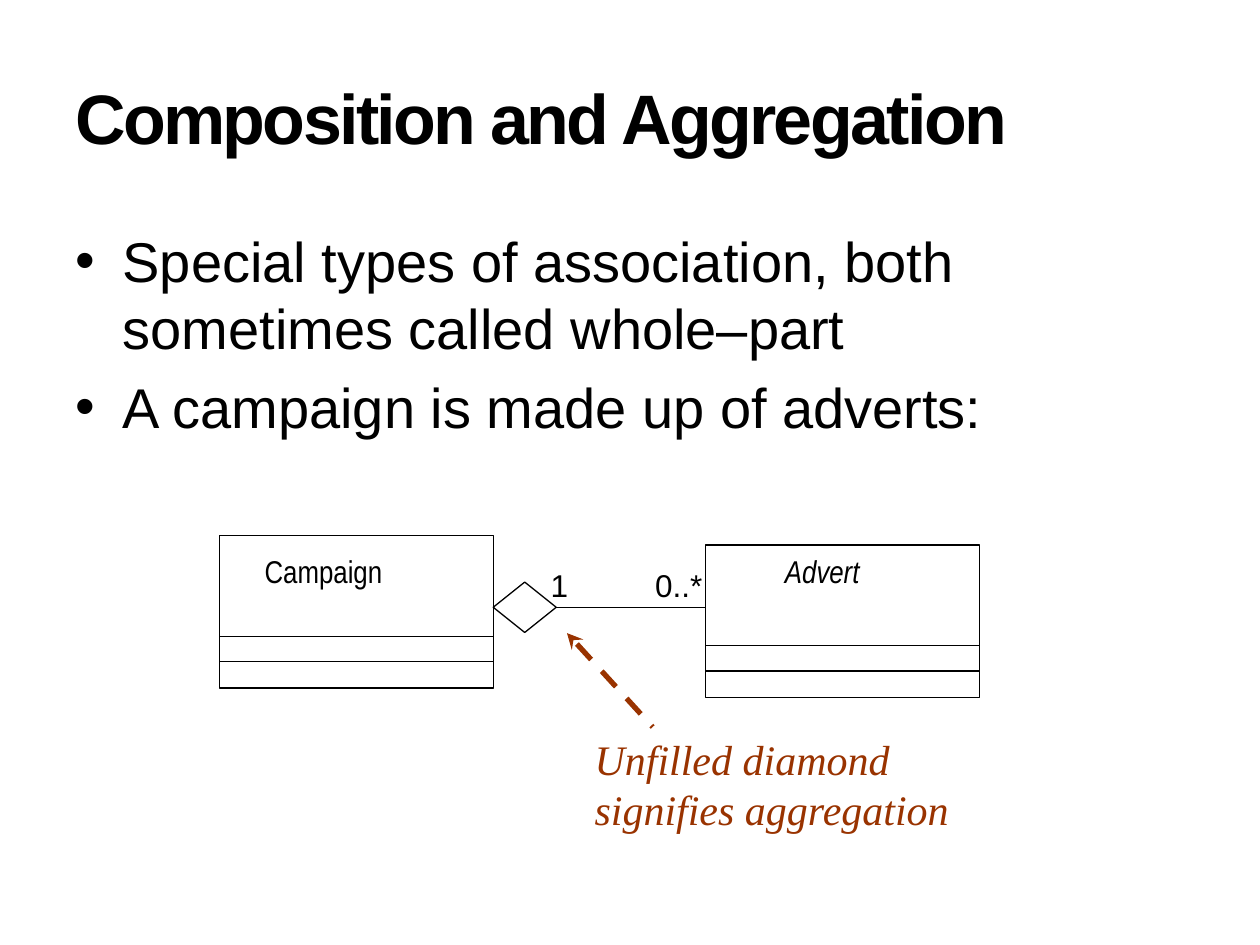
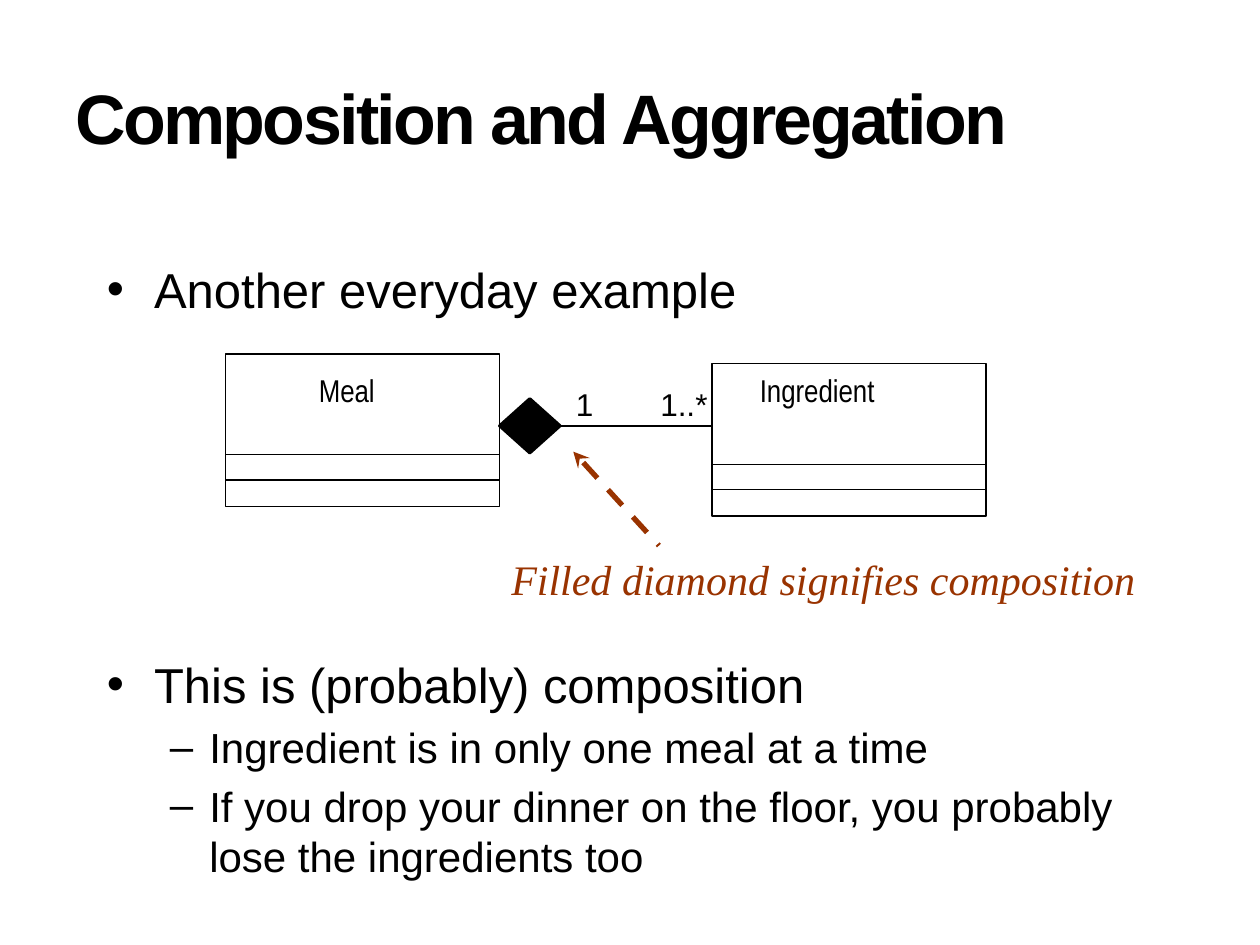
from lxml import etree
from pptx import Presentation
from pptx import util as u
from pptx.dml.color import RGBColor
from pptx.enum import dml, shapes, text
from pptx.oxml.ns import qn

presentation = Presentation()
presentation.slide_width = u.Inches(10)
presentation.slide_height = u.Inches(7.5)
COLUMN = presentation.slide_width / 100
ROW = presentation.slide_height / 75
INK, NOTE = "000000", "993300"
BULLETS = {0: ("•", 3.75, 3.75), 1: ("–", 8.13, 3.13)}


def color(value):
    return RGBColor.from_string(value)


def add_text(slide, box, paragraphs, font="Arial", ink=INK, bold=False, italic=False,
             inset=True, middle=False, spacing=0):
    left, top, width, height = box
    shape = slide.shapes.add_textbox(int(left * COLUMN), int(top * ROW),
                                     int(width * COLUMN), int(height * ROW))
    frame = shape.text_frame
    frame.word_wrap = inset
    if not inset:
        frame.margin_left = frame.margin_right = frame.margin_top = frame.margin_bottom = 0
    if middle:
        frame.vertical_anchor = text.MSO_ANCHOR.MIDDLE
    for index, (words, size, level, gap) in enumerate(paragraphs):
        paragraph = frame.add_paragraph() if index else frame.paragraphs[0]
        if level is not None:
            mark, margin, hang = BULLETS[level]
            paragraph.level = level
            properties = paragraph._p.get_or_add_pPr()
            properties.set("marL", str(int(margin * COLUMN)))
            properties.set("indent", str(-int(hang * COLUMN)))
            etree.SubElement(properties, qn("a:buFont")).set("typeface", "Arial")
            etree.SubElement(properties, qn("a:buChar")).set("char", mark)
        if index:
            paragraph.space_before = u.Pt(gap)
        run = paragraph.add_run()
        run.text = words
        run.font.name, run.font.size = font, u.Pt(size)
        run.font.bold, run.font.italic = bold, italic
        run.font.color.rgb = color(ink)
        if spacing:
            run._r.get_or_add_rPr().set("spc", str(spacing))


pages = [
    dict(body=(5, 17.5, 90, 49.5),
         bullets=[("Special types of association, both sometimes called whole–part", 32, 0, 0),
                  ("A campaign is made up of adverts:", 32, 0, 6.4)],
         origin=(17.4, 42.5), diamond=(5, 4), filled=False,
         classes=[("Campaign", 3.6, False), ("Advert", 6.3, True)],
         ends=[("1", 26.3), ("0..*", 34.6)],
         note="Unfilled diamond signifies aggregation", note_box=(46.2, 57.7, 32.2, 9)),
    dict(body=(7.5, 20.1, 85, 46.6),
         bullets=[("Another everyday example", 28, 0, 0),
                  ("This is (probably) composition", 28, 0, 192),
                  ("Ingredient is in only one meal at a time", 24, 1, 4.8),
                  ("If you drop your dinner on the floor, you probably lose the ingredients too",
                   24, 1, 4.8)],
         origin=(17.9, 28.1), diamond=(4.8, 4.3), filled=True,
         classes=[("Meal", 7.4, False), ("Ingredient", 3.8, False)],
         ends=[("1", 27.8), ("1..*", 34.5)],
         note="Filled diamond signifies composition", note_box=(39.6, 43.4, 52.9, 5)),
]
CLASS_WIDTH, CLASS_HEIGHT, CLASS_PITCH, CLASS_DROP = 21.75, 12.1, 38.6, 0.75
DIVIDERS = (8, 10)
AXIS = 5.7

for page in pages:
    slide = presentation.slides.add_slide(presentation.slide_layouts[6])
    add_text(slide, (5, 3, 90, 12.5), [("Composition and Aggregation", 40, None, 0)],
             bold=True, middle=True, spacing=-150)
    add_text(slide, page["body"], page["bullets"])
    x, y = page["origin"]
    lines = []

    for index, (name, name_left, italic) in enumerate(page["classes"]):
        left, top = x + index * CLASS_PITCH, y + index * CLASS_DROP
        class_box = slide.shapes.add_shape(
            shapes.MSO_SHAPE.RECTANGLE, int(left * COLUMN), int(top * ROW),
            int(CLASS_WIDTH * COLUMN), int(CLASS_HEIGHT * ROW))
        class_box.shadow.inherit = False
        class_box.fill.background()
        class_box.line.color.rgb = color(INK)
        class_box.line.width = u.Pt(0.75)
        add_text(slide, (left + name_left, y + 1.35, 14.5, 4.7), [(name, 18, None, 0)],
                 font="Arial Narrow", italic=italic, inset=False)
        for divider in DIVIDERS:
            lines.append((left, top + divider, left + CLASS_WIDTH, top + divider, INK, 0.75))

    for label, label_left in page["ends"]:
        add_text(slide, (x + label_left, y + 2.45, 3.8, 3), [(label, 18, None, 0)], inset=False)

    width, height = page["diamond"]
    diamond = slide.shapes.add_shape(
        shapes.MSO_SHAPE.DIAMOND, int((x + CLASS_WIDTH) * COLUMN),
        int((y + AXIS - height / 2) * ROW), int(width * COLUMN), int(height * ROW))
    diamond.shadow.inherit = False
    diamond.line.color.rgb = color(INK)
    diamond.line.width = u.Pt(1.75 if page["filled"] else 0.75)
    if page["filled"]:
        diamond.fill.solid()
        diamond.fill.fore_color.rgb = color(INK)
    else:
        diamond.fill.background()

    add_text(slide, page["note_box"], [(page["note"], 24, None, 0)],
             font="Times New Roman", ink=NOTE, italic=True)
    lines.append((x + CLASS_WIDTH + width, y + AXIS, x + CLASS_PITCH, y + AXIS, INK, 0.75))
    lines.append((x + 27.6, y + 7.75, x + 34.4, y + 15.2, NOTE, 3))

    for x1, y1, x2, y2, ink, weight in lines:
        line = slide.shapes.add_connector(
            shapes.MSO_CONNECTOR.STRAIGHT, int(x1 * COLUMN), int(y1 * ROW),
            int(x2 * COLUMN), int(y2 * ROW))
        line.line.color.rgb = color(ink)
        line.line.width = u.Pt(weight)
        if ink == NOTE:
            line.line.dash_style = dml.MSO_LINE.DASH
            etree.SubElement(line.line._get_or_add_ln(), qn("a:headEnd")).set("type", "stealth")
        elif y1 == y + AXIS:
            line.begin_connect(diamond, 3)
        etree.SubElement(line._element.spPr, qn("a:effectLst"))

presentation.save("out.pptx")
